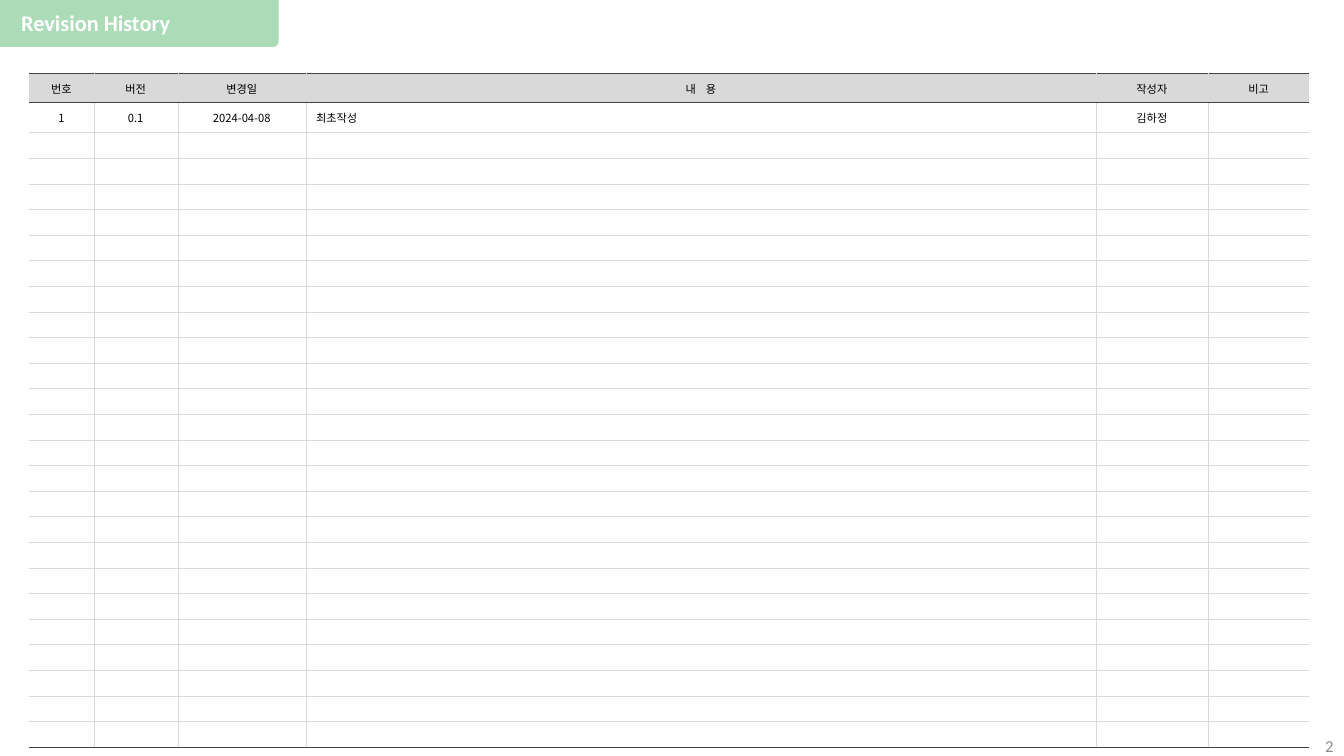
"""Build the revision history slide."""
from lxml import etree
from pptx import Presentation
from pptx.dml.color import RGBColor
from pptx.enum.shapes import MSO_SHAPE
from pptx.enum.text import MSO_ANCHOR, MSO_AUTO_SIZE, PP_ALIGN
from pptx.oxml.ns import qn
from pptx.util import Cm, Pt

LEFT, CENTER, RIGHT = PP_ALIGN.LEFT, PP_ALIGN.CENTER, PP_ALIGN.RIGHT
MIDDLE = MSO_ANCHOR.MIDDLE
GROW = MSO_AUTO_SIZE.SHAPE_TO_FIT_TEXT
TAB_SHAPE = MSO_SHAPE.ROUND_1_RECTANGLE
TITLE_ONLY = 5

HEADINGS = ["번호", "버전", "변경일", "내    용", "작성자", "비고"]
FIRST_REVISION = ["1", "0.1", "2024-04-08", "최초작성", "김하정", ""]
CONTENT_COLUMN = 3
BLANK_ROWS = 24
COLUMN_WIDTHS = [1.62, 2.12, 3.23, 19.91, 2.82, 2.56]
ROW_HEIGHTS = [0.74, 0.75] + [15.5 / BLANK_ROWS] * BLANK_ROWS


def color(hex_code):
    """Turn a hex string into a colour."""
    return RGBColor.from_string(hex_code)


def write(frame, text, *, size, ink, font="Calibri", east_asian="Noto Sans CJK KR",
          bold=False, align=LEFT):
    """Put one formatted paragraph into a text frame."""
    paragraph = frame.paragraphs[0]
    paragraph.alignment = align
    if not text:
        end = etree.SubElement(paragraph._p, qn("a:endParaRPr"))
        end.set("sz", str(size * 100))
        return paragraph
    run = paragraph.add_run()
    run.text = text
    run.font.size = Pt(size)
    run.font.name = font
    run.font.bold = bold
    run.font.color.rgb = color(ink)
    etree.SubElement(run.font._element, qn("a:ea")).set("typeface", east_asian)
    return paragraph


class RevisionSlide:
    """Style and drawing methods for the current slide."""

    green, grid, rule = "ACDCB7", "D9D9D9", "404040"
    white, black, muted = "FFFFFF", "000000", "8C8C8C"
    body_font = "Noto Sans CJK KR"

    def __init__(self, slide):
        """Keep the slide to draw on."""
        self.slide = slide

    def title_tab(self, width, height):
        """Draw the green tab behind the title."""
        tab = self.slide.shapes.add_shape(TAB_SHAPE, 0, 0, Cm(width), Cm(height))
        tab.adjustments[0] = 0.11
        tab.rotation = 180
        tab.element.spPr.xfrm.set("flipH", "1")
        tab.shadow.inherit = False
        tab.fill.solid()
        tab.fill.fore_color.rgb = color(self.green)
        tab.line.color.rgb = color(self.green)
        tab.line.width = Pt(0.75)
        self.slide.shapes.element.insert(2, tab.element)

    def title(self, text, left, top, width, height):
        """Place and format the title placeholder."""
        heading = self.slide.shapes.title
        heading.left, heading.top = Cm(left), Cm(top)
        heading.width, heading.height = Cm(width), Cm(height)
        frame = heading.text_frame
        frame.margin_left = frame.margin_right = 0
        frame.margin_top = frame.margin_bottom = 0
        frame.vertical_anchor = MIDDLE
        frame.word_wrap = True
        frame.auto_size = GROW
        paragraph = write(frame, text, size=16, ink=self.white, bold=True)
        paragraph.line_spacing = 0.9
        paragraph.space_before = Pt(10)

    def page_number(self, text, left, top, width, height):
        """Write the page number."""
        box = self.slide.shapes.add_textbox(Cm(left), Cm(top), Cm(width), Cm(height))
        frame = box.text_frame
        frame.word_wrap = True
        frame.vertical_anchor = MIDDLE
        write(frame, text, size=12, ink=self.muted, align=RIGHT)

    def borders(self, cell, edges):
        """Give a cell its left, right, top and bottom lines."""
        properties = cell._tc.get_or_add_tcPr()
        for index, (side, edge) in enumerate(zip("LRTB", edges)):
            line = etree.Element(qn(f"a:ln{side}"))
            properties.insert(index, line)
            if edge is None:
                etree.SubElement(line, qn("a:noFill"))
                continue
            ink, points = edge
            line.set("w", str(Pt(points)))
            fill = etree.SubElement(line, qn("a:solidFill"))
            etree.SubElement(fill, qn("a:srgbClr")).set("val", ink)

    def history(self, left, top):
        """Draw the revision table."""
        rows, columns = len(ROW_HEIGHTS), len(COLUMN_WIDTHS)
        table = self.slide.shapes.add_table(
            rows, columns, Cm(left), Cm(top),
            Cm(sum(COLUMN_WIDTHS)), Cm(sum(ROW_HEIGHTS))).table
        table.first_row = table.horz_banding = False
        for column, width in zip(table.columns, COLUMN_WIDTHS):
            column.width = Cm(width)
        contents = [HEADINGS, FIRST_REVISION] + [[""] * columns] * BLANK_ROWS
        thin, strong, closing = (self.grid, 0.25), (self.rule, 1), (self.rule, 0.25)
        levels = [strong, strong] + [thin] * (rows - 2) + [closing]
        uprights = [None] + [thin] * (columns - 1) + [None]
        for r, (height, texts) in enumerate(zip(ROW_HEIGHTS, contents)):
            table.rows[r].height = Cm(height)
            header = r == 0
            for c, text in enumerate(texts):
                cell = table.cell(r, c)
                cell.vertical_anchor = MIDDLE
                cell.fill.solid()
                cell.fill.fore_color.rgb = color(self.grid if header else self.white)
                self.borders(cell, uprights[c:c + 2] + levels[r:r + 2])
                write(cell.text_frame, text, size=8, ink=self.black,
                      font="Calibri" if header else self.body_font,
                      align=LEFT if c == CONTENT_COLUMN and not header else CENTER)


def main():
    """Create the presentation and save it."""
    deck = Presentation()
    deck.slide_width, deck.slide_height = Cm(33.87), Cm(19.05)
    page = RevisionSlide(deck.slides.add_slide(deck.slide_layouts[TITLE_ONLY]))
    page.title_tab(7.01, 1.17)
    page.history(0.74, 1.85)
    page.page_number("2", 32.13, 18.54, 1.73, 0.51)
    page.title("Revision History", 0.53, 0.3, 6.45, 0.61)
    deck.save("out.pptx")


if __name__ == "__main__":
    main()
